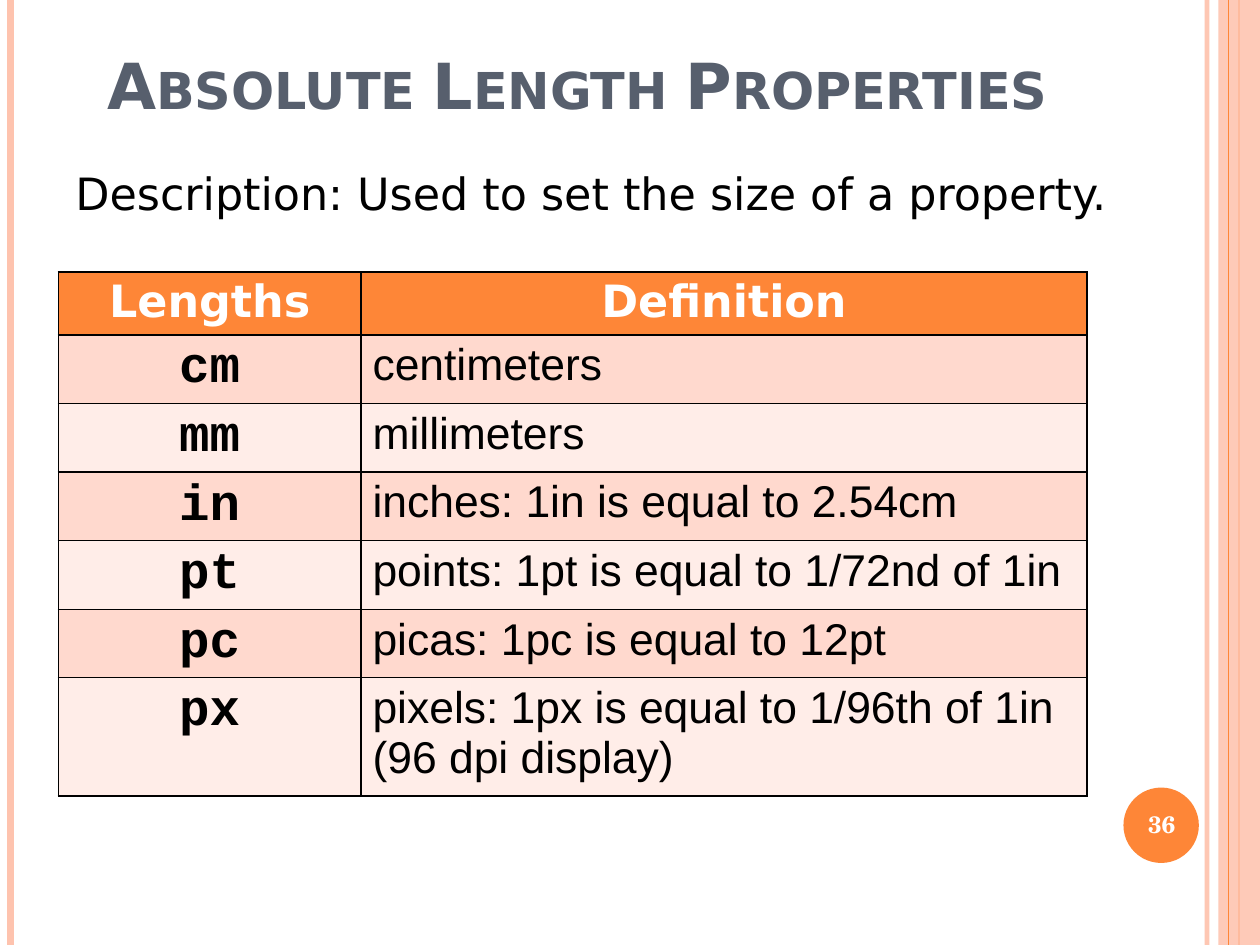
"""Build the slide on absolute length properties."""
from dataclasses import dataclass

import lxml.etree
import pptx
import pptx.dml.color
import pptx.enum.shapes
import pptx.enum.text
import pptx.oxml
import pptx.oxml.ns
import pptx.util

Inches, Pt = pptx.util.Inches, pptx.util.Pt
RGBColor = pptx.dml.color.RGBColor
Align, Anchor = pptx.enum.text.PP_ALIGN, pptx.enum.text.MSO_ANCHOR
Shape = pptx.enum.shapes.MSO_SHAPE
qn = pptx.oxml.ns.qn

WIDTH, HEIGHT = Pt(793.75), Pt(595.25)
ORANGE = RGBColor(0xFE, 0x86, 0x37)
PEACH = RGBColor(0xFE, 0xC3, 0xAE)
SLATE = RGBColor(0x57, 0x5F, 0x6D)
BLACK = RGBColor(0, 0, 0)
WHITE = RGBColor(0xFF, 0xFF, 0xFF)
BANDS = (RGBColor(0xFF, 0xD9, 0xCE), RGBColor(0xFF, 0xED, 0xE8))


@dataclass
class Style:
    font: str
    size: float
    color: RGBColor
    bold: bool = False
    align: Align = Align.CENTER
    spacing: float = 0.93


@dataclass
class Stripe:
    x: float
    width: float
    color: RGBColor
    alpha: int = 100


@dataclass
class Label:
    text: str
    box: tuple[float, float, float, float]
    style: Style
    anchor: Anchor
    top_inset: float
    small_caps: bool = False


HEADER = Style("DejaVu Sans", 28, WHITE, True)
UNIT = Style("Courier New", 32, BLACK, True)
MEANING = Style("Arial", 28, BLACK, align=Align.LEFT, spacing=1)

BACK_STRIPES = (Stripe(10.56, 3, PEACH, 93), Stripe(0.09, 4.5, PEACH),
                Stripe(10.84, 1.5, ORANGE))
FRONT_STRIPE = Stripe(10.75, 0.75, ORANGE)

LABELS = (
    Label("Absolute Length Properties", (0.55, 0.33, 9, 0.8),
          Style("DejaVu Sans", 40, SLATE, True, spacing=1), Anchor.BOTTOM, 0.04, True),
    Label("Description: Used to set the size of a property.", (0.55, 1.47, 9.79, 0.83),
          Style("DejaVu Sans", 28, BLACK, align=Align.LEFT, spacing=0.97), Anchor.TOP, 0.01),
    Label("36", (9.8, 6.91, 0.73, 0.63),
          Style("TeX Gyre Schola", 15, WHITE, True), Anchor.MIDDLE, 0.06),
)

ROWS = (
    ("Lengths", "Definition"),
    ("cm", "centimeters"),
    ("mm", "millimeters"),
    ("in", "inches: 1in is equal to 2.54cm"),
    ("pt", "points: 1pt is equal to 1/72nd of 1in"),
    ("pc", "picas: 1pc is equal to 12pt"),
    ("px", "pixels: 1px is equal to 1/96th of 1in (96 dpi display)"),
)
COLUMN_WIDTHS = (2.65, 6.35)
ROW_HEIGHTS = (0.55, *[0.6] * 5, 0.97)


def set_alpha(element: lxml.etree._Element, percent: int) -> None:
    """Make the first colour of an element partly transparent."""
    color = next(element.iter(qn("a:srgbClr")))
    lxml.etree.SubElement(color, qn("a:alpha"), val=str(percent * 1000))


def write(tf: pptx.text.text.TextFrame, text: str, style: Style) -> None:
    """Fill a text frame with one styled paragraph."""
    tf.text = text
    p = tf.paragraphs[0]
    p.alignment = style.align
    p.line_spacing = float(style.spacing)
    font = p.runs[0].font
    font.name, font.size, font.bold = style.font, Pt(style.size), style.bold
    font.color.rgb = style.color


def add_stripe(s: pptx.slide.Slide, stripe: Stripe) -> None:
    """Draw a full-height vertical line."""
    x = Inches(stripe.x)
    line = s.shapes.add_connector(
        pptx.enum.shapes.MSO_CONNECTOR.STRAIGHT, x, 0, x, HEIGHT)
    line.line.width = Pt(stripe.width)
    line.line.color.rgb = stripe.color
    props = line._element.spPr
    if stripe.alpha < 100:
        set_alpha(props, stripe.alpha)
    lxml.etree.SubElement(props, qn("a:effectLst"))


def add_block(s: pptx.slide.Slide, kind: Shape, left: int, top: int, width: int,
              height: int, color: RGBColor, alpha: int = 100) -> None:
    """Draw a filled shape with no outline."""
    sp = s.shapes.add_shape(kind, left, top, width, height)
    sp.shadow.inherit = False
    sp.fill.solid()
    sp.fill.fore_color.rgb = color
    sp.line.fill.background()
    if alpha < 100:
        set_alpha(sp._element.spPr, alpha)


def add_label(s: pptx.slide.Slide, label: Label) -> None:
    """Place a text box."""
    tf = s.shapes.add_textbox(*map(Inches, label.box)).text_frame
    tf.word_wrap = True
    tf.vertical_anchor = label.anchor
    tf.margin_left = tf.margin_right = Inches(0.11)
    tf.margin_top, tf.margin_bottom = Inches(label.top_inset), Inches(0.06)
    write(tf, label.text, label.style)
    if label.small_caps:
        tf.paragraphs[0].runs[0].font._element.set("cap", "small")


def add_borders(cell: pptx.table._Cell) -> None:
    """Outline a cell with thin black lines."""
    props = cell._tc.get_or_add_tcPr()
    for i, side in enumerate(("lnL", "lnR", "lnT", "lnB")):
        ln = lxml.etree.Element(qn(f"a:{side}"), w=str(Pt(1)))
        fill = lxml.etree.SubElement(ln, qn("a:solidFill"))
        lxml.etree.SubElement(fill, qn("a:srgbClr"), val=str(BLACK))
        props.insert(i, ln)


def add_lengths_table(s: pptx.slide.Slide) -> None:
    """Draw the table of length units."""
    table = s.shapes.add_table(
        len(ROWS), len(COLUMN_WIDTHS), Inches(0.51), Inches(2.38),
        Inches(sum(COLUMN_WIDTHS)), Inches(sum(ROW_HEIGHTS))).table
    for column, width in zip(table.columns, COLUMN_WIDTHS):
        column.width = Inches(width)
    for i, (texts, height) in enumerate(zip(ROWS, ROW_HEIGHTS)):
        table.rows[i].height = Inches(height)
        styles = (UNIT, MEANING) if i else (HEADER, HEADER)
        for j, (text, style) in enumerate(zip(texts, styles)):
            cell = table.cell(i, j)
            cell.vertical_anchor = Anchor.TOP if i else Anchor.MIDDLE
            cell.fill.solid()
            cell.fill.fore_color.rgb = BANDS[(i - 1) % 2] if i else ORANGE
            write(cell.text_frame, text, style)
            add_borders(cell)


def main() -> None:
    """Assemble and save the slide."""
    prs = pptx.Presentation()
    prs.slide_width, prs.slide_height = WIDTH, HEIGHT
    s = prs.slides.add_slide(prs.slide_layouts[6])
    for stripe in BACK_STRIPES:
        add_stripe(s, stripe)
    edge = Inches(10.66)
    add_block(s, Shape.RECTANGLE, edge, 0, WIDTH - edge, HEIGHT, PEACH, 87)
    add_stripe(s, FRONT_STRIPE)
    size = Inches(0.66)
    add_block(s, Shape.OVAL, Inches(9.83), Inches(6.89), size, size, ORANGE)
    for label in LABELS:
        add_label(s, label)
    add_lengths_table(s)
    prs.save("out.pptx")


if __name__ == "__main__":
    main()
